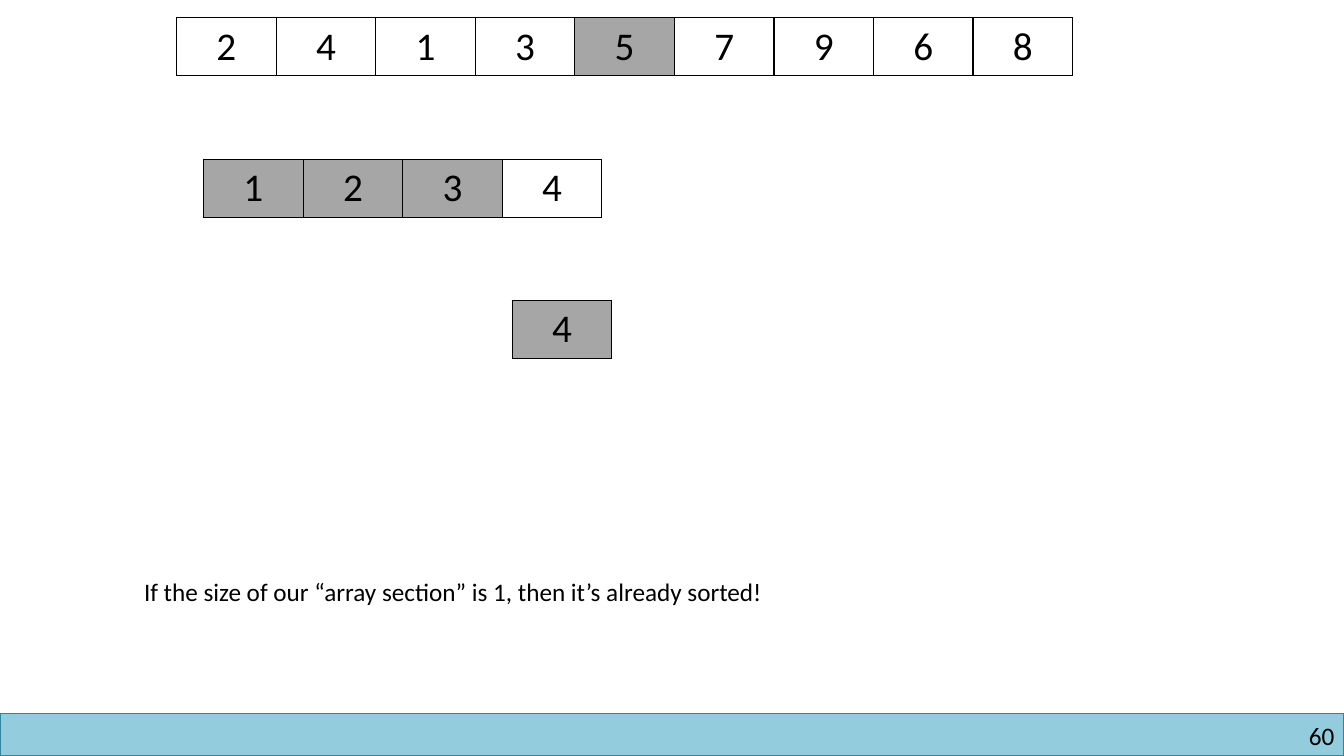
from dataclasses import dataclass

from lxml import etree
from pptx import Presentation
from pptx.dml.color import RGBColor
from pptx.enum.shapes import MSO_SHAPE
from pptx.enum.text import PP_ALIGN
from pptx.oxml.ns import qn
from pptx.slide import Slide
from pptx.text.text import TextFrame
from pptx.util import Cm, Pt

RECTANGLE = MSO_SHAPE.RECTANGLE
LEFT, CENTER, RIGHT = PP_ALIGN.LEFT, PP_ALIGN.CENTER, PP_ALIGN.RIGHT

FONT = "Calibri"
BLACK, WHITE, SORTED_GRAY = "000000", "FFFFFF", "A6A6A6"
BAR_FILL, BAR_LINE = "93CDDD", "31859C"
SLIDE_WIDTH, SLIDE_HEIGHT = 33.87, 19.05
BAR_HEIGHT = 1.07
CELL_WIDTH, CELL_HEIGHT = 2.51, 1.45


@dataclass(frozen=True)
class ArraySection:
    left: float
    top: float
    values: tuple[int, ...]
    placed: tuple[int, ...]


@dataclass(frozen=True)
class Label:
    text: str
    left: float
    top: float
    width: float
    height: float
    align: PP_ALIGN
    margin_x: float
    margin_y: float


ARRAY_SECTIONS = (
    ArraySection(4.45, 0.45, (2, 4, 1, 3, 5, 7, 9, 6, 8), (5,)),
    ArraySection(5.13, 4.01, (1, 2, 3, 4), (1, 2, 3)),
    ArraySection(12.91, 7.57, (4,), (4,)),
)

LABELS = (
    Label("60", 25.83, 18.16, 7.8, 0.76, RIGHT, 0, 0),
    Label(
        "If the size of our “array section” is 1, then it’s already sorted!",
        3.38, 14.4, 17.48, 1.02, LEFT, 0.25, 0.13,
    ),
)


def color(hex_code: str) -> RGBColor:
    return RGBColor.from_string(hex_code)


def write(frame: TextFrame, text: str, size: int, align: PP_ALIGN) -> None:
    paragraph = frame.paragraphs[0]
    paragraph.alignment = align
    run = paragraph.add_run()
    run.text = text
    run.font.name = FONT
    run.font.size = Pt(size)
    run.font.color.rgb = color(BLACK)


def add_footer_bar(slide: Slide) -> None:
    bar = slide.shapes.add_shape(
        RECTANGLE, 0, Cm(SLIDE_HEIGHT - BAR_HEIGHT), Cm(SLIDE_WIDTH), Cm(BAR_HEIGHT)
    )
    bar.shadow.inherit = False
    bar.fill.solid()
    bar.fill.fore_color.rgb = color(BAR_FILL)
    bar.line.color.rgb = color(BAR_LINE)
    bar.line.width = Pt(1)


def add_label(slide: Slide, label: Label) -> None:
    frame = slide.shapes.add_textbox(
        Cm(label.left), Cm(label.top), Cm(label.width), Cm(label.height)
    ).text_frame
    frame.word_wrap = True
    frame.margin_left = frame.margin_right = Cm(label.margin_x)
    frame.margin_top = frame.margin_bottom = Cm(label.margin_y)
    write(frame, label.text, 18, label.align)


def add_borders(cell_properties: etree.ElementBase) -> None:
    for side in ("a:lnL", "a:lnR", "a:lnT", "a:lnB"):
        border = etree.SubElement(cell_properties, qn(side), w=str(Pt(1)))
        fill = etree.SubElement(border, qn("a:solidFill"))
        etree.SubElement(fill, qn("a:srgbClr"), val=BLACK)


def add_array_section(slide: Slide, section: ArraySection) -> None:
    count = len(section.values)
    table = slide.shapes.add_table(
        1, count, Cm(section.left), Cm(section.top),
        Cm(CELL_WIDTH * count), Cm(CELL_HEIGHT),
    ).table
    table.first_row = False
    table.horz_banding = False
    for index, value in enumerate(section.values):
        table.columns[index].width = Cm(CELL_WIDTH)
        cell = table.cell(0, index)
        add_borders(cell._tc.get_or_add_tcPr())
        cell.fill.solid()
        cell.fill.fore_color.rgb = color(
            SORTED_GRAY if value in section.placed else WHITE
        )
        write(cell.text_frame, str(value), 28, CENTER)


def main() -> None:
    presentation = Presentation()
    presentation.slide_width = Cm(SLIDE_WIDTH)
    presentation.slide_height = Cm(SLIDE_HEIGHT)
    slide = presentation.slides.add_slide(presentation.slide_layouts[6])
    add_footer_bar(slide)
    for section in ARRAY_SECTIONS:
        add_array_section(slide, section)
    for label in LABELS:
        add_label(slide, label)
    presentation.save("out.pptx")


if __name__ == "__main__":
    main()
